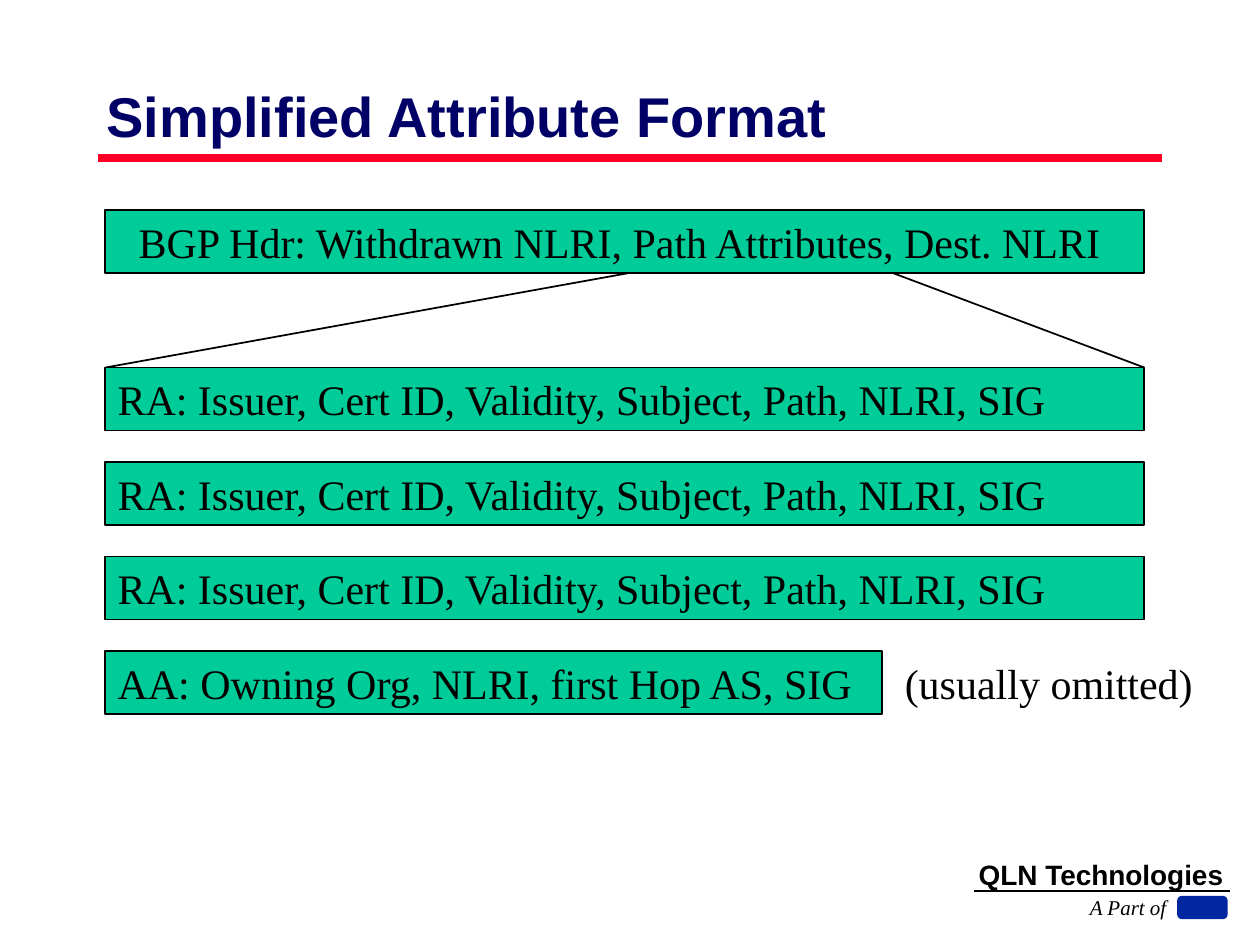
from lxml import etree
from pptx import Presentation
from pptx import util as u
from pptx.dml.color import RGBColor
from pptx.enum import shapes, text
from pptx.oxml.ns import qn

SANS, SERIF = "Arial", "Times New Roman"
BLACK, NAVY, RED, GREEN, BLUE = "000000", "000066", "FC0128", "00CC99", "00279F"

# Lengths in centimetres
LEFT, WIDTH, ROW_HEIGHT = 2.12, 20.95, 1.27
RIGHT = LEFT + WIDTH
HEADER_TOP, ATTRIBUTES_TOP = 4.23, 7.41
ROW_STEP = ROW_HEIGHT * 1.5

HEADER = "BGP Hdr: Withdrawn NLRI, Path Attributes, Dest. NLRI "
ROUTE_ATTESTATION = "RA: Issuer, Cert ID, Validity, Subject, Path, NLRI, SIG"
ADDRESS_ATTESTATION = "AA: Owning Org, NLRI, first Hop AS, SIG"


def color(value):
    return RGBColor.from_string(value)


def write(shape, content, size=24, font=SERIF, fill=BLACK, bold=False, italic=False,
          align=text.PP_ALIGN.LEFT, anchor=text.MSO_ANCHOR.MIDDLE, wrap=True):
    frame = shape.text_frame
    frame.word_wrap = wrap
    frame.auto_size = text.MSO_AUTO_SIZE.NONE
    frame.vertical_anchor = anchor
    frame.margin_left = frame.margin_right = u.Cm(0.25)
    frame.margin_top = frame.margin_bottom = u.Cm(0.13)
    paragraph = frame.paragraphs[0]
    paragraph.alignment = align
    run = paragraph.add_run()
    run.text = content
    run.font.name = font
    run.font.size = u.Pt(size)
    run.font.bold = bold
    run.font.italic = italic
    run.font.color.rgb = color(fill)


def place(shape, left, top, width, height):
    shape.left, shape.top = u.Cm(left), u.Cm(top)
    shape.width, shape.height = u.Cm(width), u.Cm(height)


def add_title(slide, content):
    title = slide.shapes.title
    place(title, 1.9, 1.69, 21.6, 1.27)
    write(title, content, size=32, font=SANS, fill=NAVY, bold=True)


def add_box(slide, kind, left, top, width, height, fill, line):
    box = slide.shapes.add_shape(kind, u.Cm(left), u.Cm(top), u.Cm(width), u.Cm(height))
    box.shadow.inherit = False
    box.fill.solid()
    box.fill.fore_color.rgb = color(fill)
    box.line.color.rgb = color(line)
    box.line.width = u.Pt(1)
    return box


def add_row(slide, content, top, width=WIDTH, **text_format):
    box = add_box(slide, shapes.MSO_SHAPE.RECTANGLE, LEFT, top, width, ROW_HEIGHT, GREEN, BLACK)
    write(box, content, **text_format)


def add_line(slide, x1, y1, x2, y2, line=BLACK, width=1):
    connector = slide.shapes.add_connector(
        shapes.MSO_CONNECTOR.STRAIGHT, u.Cm(x1), u.Cm(y1), u.Cm(x2), u.Cm(y2))
    connector.line.color.rgb = color(line)
    connector.line.width = u.Pt(width)
    etree.SubElement(connector._element.spPr, qn("a:effectLst"))


def add_label(slide, content, left, top, width, height, **text_format):
    label = slide.shapes.add_textbox(u.Cm(left), u.Cm(top), u.Cm(width), u.Cm(height))
    write(label, content, wrap=False, **text_format)


def add_footer(slide):
    add_label(slide, "QLN Technologies", 19.48, 17.35, 5.49, 0.56,
              size=16, font=SANS, bold=True)
    add_box(slide, shapes.MSO_SHAPE.ROUNDED_RECTANGLE, 23.75, 18.08, 0.98, 0.43, BLUE, BLUE)
    add_line(slide, 19.63, 17.96, 24.79, 17.96)
    add_label(slide, "A Part of", 21.72, 17.91, 2.18, 0.76,
              size=12, italic=True, anchor=text.MSO_ANCHOR.TOP)


def main():
    presentation = Presentation()
    presentation.slide_width, presentation.slide_height = u.Cm(25.4), u.Cm(19.05)
    slide = presentation.slides.add_slide(presentation.slide_layouts[5])

    add_line(slide, 1.98, 3.18, 23.42, 3.18, line=RED, width=4.5)
    add_footer(slide)
    add_title(slide, "Simplified Attribute Format")

    add_row(slide, HEADER, HEADER_TOP, align=text.PP_ALIGN.CENTER)
    for x_header, x_attribute in ((12.7, LEFT), (17.99, RIGHT)):
        add_line(slide, x_header, HEADER_TOP + ROW_HEIGHT, x_attribute, ATTRIBUTES_TOP)

    for row in range(3):
        add_row(slide, ROUTE_ATTESTATION, ATTRIBUTES_TOP + row * ROW_STEP)
    last_top = ATTRIBUTES_TOP + 3 * ROW_STEP
    add_row(slide, ADDRESS_ATTESTATION, last_top, width=15.66)
    add_label(slide, "(usually omitted)", 17.99, last_top, 6.3, ROW_HEIGHT)

    presentation.save("out.pptx")


if __name__ == "__main__":
    main()
